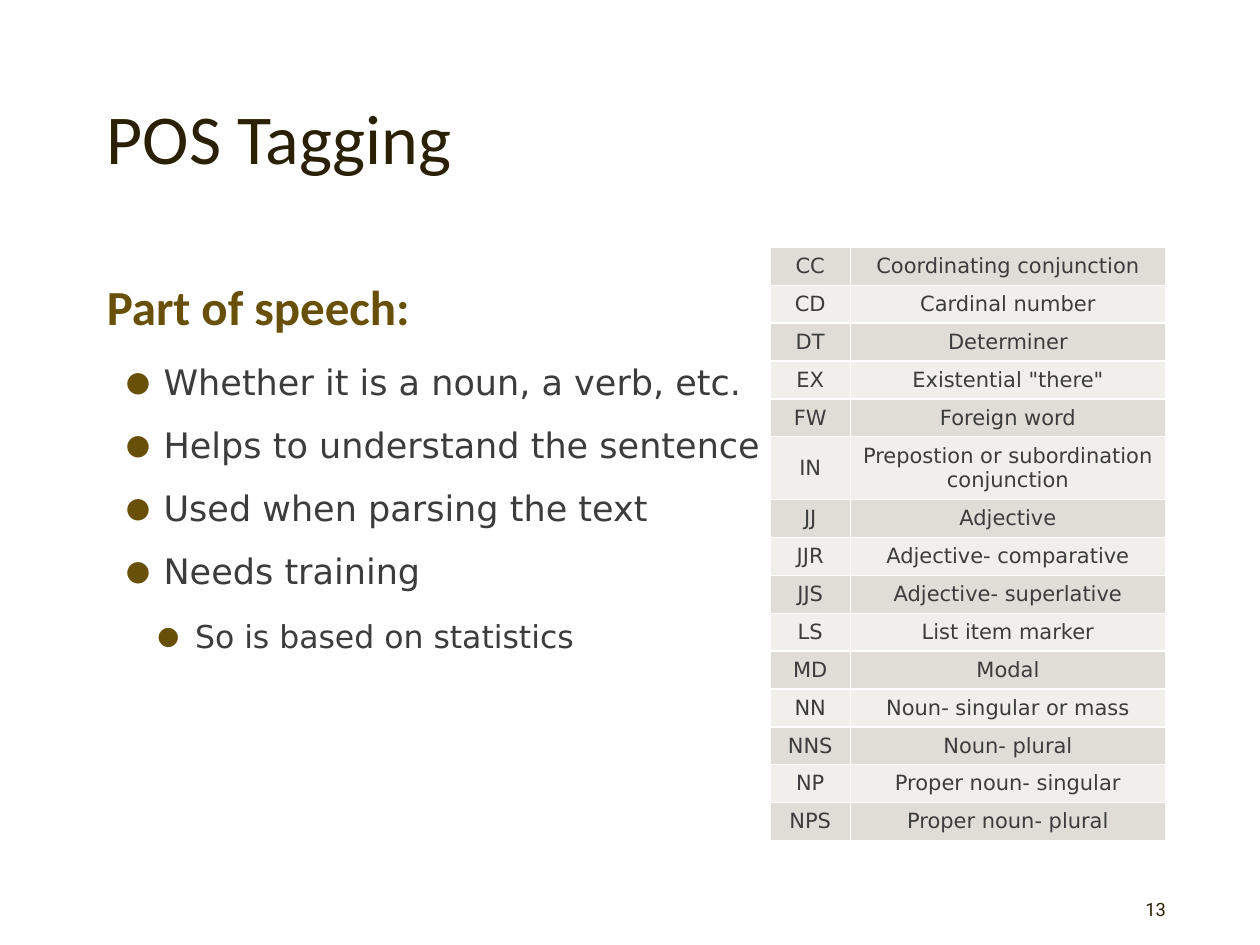
from dataclasses import dataclass

from lxml import etree
from pptx import Presentation
from pptx.dml.color import RGBColor
from pptx.enum.text import MSO_ANCHOR, PP_ALIGN
from pptx.oxml.ns import qn
from pptx.util import Pt

MIDDLE, TOP = MSO_ANCHOR.MIDDLE, MSO_ANCHOR.TOP
CENTER = PP_ALIGN.CENTER

TITLE = "POS Tagging"
HEADING = "Part of speech:"
POINTS = [
    (1, "Whether it is a noun, a verb, etc."),
    (1, "Helps to understand the sentence"),
    (1, "Used when parsing the text"),
    (1, "Needs training"),
    (2, "So is based on statistics"),
]
PAGE_NUMBER = "13"
TAGS = [
    ("CC", "Coordinating conjunction"),
    ("CD", "Cardinal number"),
    ("DT", "Determiner"),
    ("EX", 'Existential "there"'),
    ("FW", "Foreign word"),
    ("IN", "Prepostion or subordination conjunction"),
    ("JJ", "Adjective"),
    ("JJR", "Adjective- comparative"),
    ("JJS", "Adjective- superlative"),
    ("LS", "List item marker"),
    ("MD", "Modal"),
    ("NN", "Noun- singular or mass"),
    ("NNS", "Noun- plural"),
    ("NP", "Proper noun- singular"),
    ("NPS", "Proper noun- plural"),
]


@dataclass(frozen=True)
class Theme:
    """Colours, fonts and type sizes of the slide."""
    dark: str = "2A2003"
    accent: str = "695008"
    body: str = "3C3C3C"
    bands: tuple = ("E0DDD6", "F0EFEB")
    border: str = "FFFFFF"
    head_font: str = "Calibri"
    body_font: str = "DejaVu Sans"
    number_font: str = "Roboto"
    title_size: float = 40
    heading_size: float = 28
    point_sizes: tuple = (20, 18)
    table_size: float = 12
    number_size: float = 10.5


THEME = Theme()
POINT_INDENTS = (32.4, 50.4)
HANGING = 21.6
COLUMN_WIDTHS = (46, 180)
ROW_HEIGHT, TALL_ROW_HEIGHT = 21.6, 35.3
LONG_LABEL = 30


def write(paragraph, text, font, size, color, bold=False):
    """Fill a paragraph with one formatted run."""
    paragraph.text = text
    style = paragraph.runs[0].font
    style.name, style.size, style.bold = font, Pt(size), bold
    style.color.rgb = RGBColor.from_string(color)


def add_text_frame(slide, left, top, width, height, anchor):
    """Add a wrapping text box and return its text frame."""
    frame = slide.shapes.add_textbox(Pt(left), Pt(top), Pt(width), Pt(height)).text_frame
    frame.word_wrap = True
    frame.vertical_anchor = anchor
    return frame


def add_bullet(paragraph, indent):
    """Give a paragraph a hanging round bullet."""
    props = paragraph._p.get_or_add_pPr()
    props.set("marL", str(Pt(indent)))
    props.set("indent", str(-Pt(HANGING)))
    color = etree.SubElement(props, qn("a:buClr"))
    etree.SubElement(color, qn("a:srgbClr"), val=THEME.accent)
    etree.SubElement(props, qn("a:buSzPct"), val="80000")
    etree.SubElement(props, qn("a:buFont"), typeface=THEME.body_font)
    etree.SubElement(props, qn("a:buChar"), char="●")


def add_borders(cell):
    """Draw thin lines on all four sides of a cell."""
    props = cell._tc.get_or_add_tcPr()
    for position, side in enumerate(("a:lnL", "a:lnR", "a:lnT", "a:lnB")):
        line = etree.Element(qn(side), w=str(Pt(1)))
        fill = etree.SubElement(line, qn("a:solidFill"))
        etree.SubElement(fill, qn("a:srgbClr"), val=THEME.border)
        props.insert(position, line)


def add_points(slide):
    """Add the heading with its bulleted points."""
    frame = add_text_frame(slide, 54, 158.4, 612, 331.2, TOP)
    heading = frame.paragraphs[0]
    write(heading, HEADING, THEME.head_font, THEME.heading_size, THEME.accent, True)
    heading.line_spacing = 0.9
    heading.space_before, heading.space_after = Pt(12), Pt(2)
    for level, text in POINTS:
        point = frame.add_paragraph()
        write(point, text, THEME.body_font, THEME.point_sizes[level - 1], THEME.body)
        point.level = level
        point.line_spacing = Pt(36)
        add_bullet(point, POINT_INDENTS[level - 1])


def add_tag_table(slide):
    """Add the banded table of tags and their meanings."""
    heights = [TALL_ROW_HEIGHT if len(label) > LONG_LABEL else ROW_HEIGHT for _, label in TAGS]
    table = slide.shapes.add_table(
        len(TAGS), len(COLUMN_WIDTHS), Pt(440), Pt(141.4),
        Pt(sum(COLUMN_WIDTHS)), Pt(sum(heights))).table
    table.first_row = False
    for column, width in zip(table.columns, COLUMN_WIDTHS):
        column.width = Pt(width)
    for index, (row, height, texts) in enumerate(zip(table.rows, heights, TAGS)):
        row.height = Pt(height)
        for cell, text in zip(row.cells, texts):
            cell.fill.solid()
            cell.fill.fore_color.rgb = RGBColor.from_string(THEME.bands[index % 2])
            cell.vertical_anchor = MIDDLE
            paragraph = cell.text_frame.paragraphs[0]
            write(paragraph, text, THEME.body_font, THEME.table_size, THEME.body)
            paragraph.alignment = CENTER
            add_borders(cell)


def main():
    """Build the slide and save it."""
    deck = Presentation()
    deck.slide_width, deck.slide_height = Pt(720), Pt(540)
    slide = deck.slides.add_slide(deck.slide_layouts[6])

    title = add_text_frame(slide, 54, 22.3, 612, 118.8, MIDDLE).paragraphs[0]
    write(title, TITLE, THEME.head_font, THEME.title_size, THEME.dark)
    title.line_spacing = 0.85
    add_points(slide)
    add_tag_table(slide)

    number = add_text_frame(slide, 650.9, 505.4, 56.2, 28.8, MIDDLE)
    number.margin_left = Pt(3.6)
    write(number.paragraphs[0], PAGE_NUMBER, THEME.number_font, THEME.number_size, THEME.dark)
    deck.save("out.pptx")


main()
